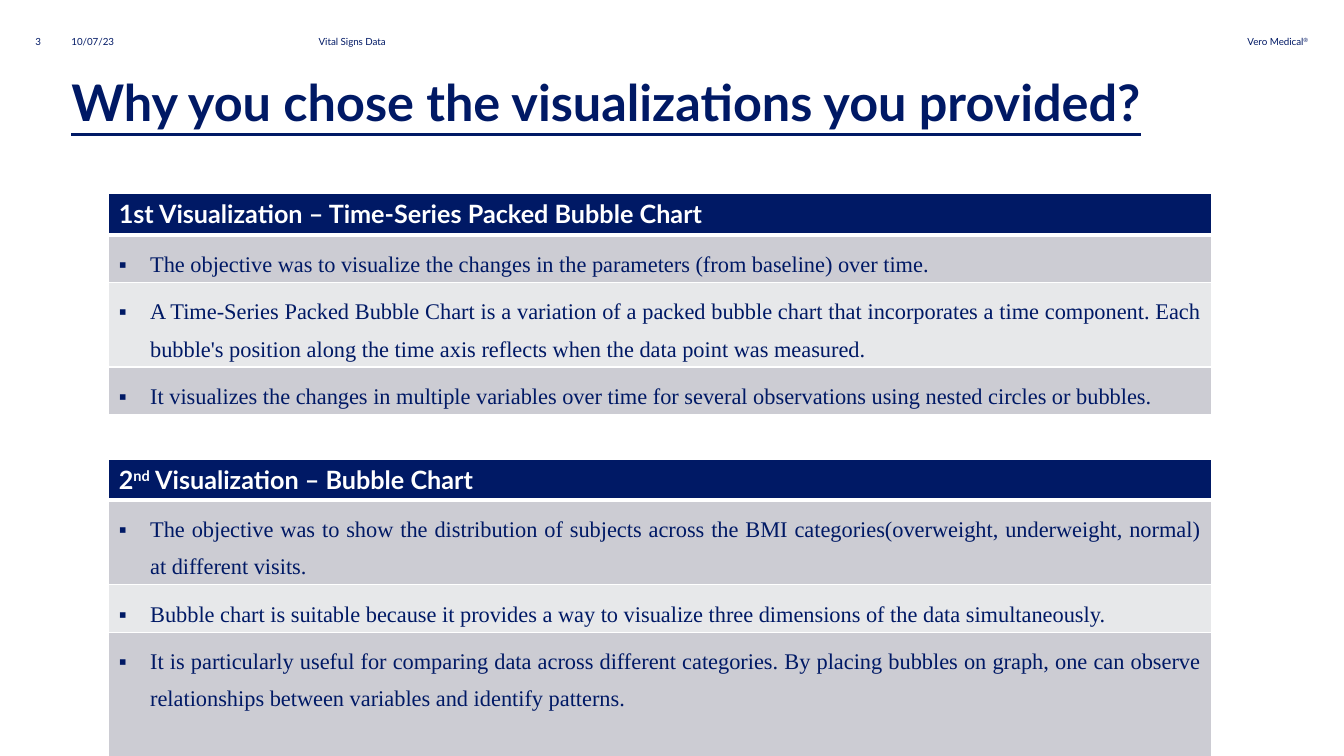
import dataclasses

import pptx
import pptx.dml.color
import pptx.enum.text
import pptx.oxml
import pptx.oxml.ns
import pptx.util
from pptx.util import Cm

ALIGN = pptx.enum.text.PP_ALIGN
ANCHOR = pptx.enum.text.MSO_ANCHOR


@dataclasses.dataclass(frozen=True)
class Theme:
    navy: str = "001965"
    white: str = "FFFFFF"
    bands: tuple[str, str] = ("CCCCD3", "E7E8EA")
    heading_font: str = "Lato"
    body_font: str = "Times New Roman"
    small_size: float = 7
    body_size: float = 16
    header_size: float = 18
    title_size: float = 36
    border: float = 1
    header_border: float = 3


@dataclasses.dataclass(frozen=True)
class Label:
    left: float
    width: float
    text: str
    mark: str = ""
    align: ALIGN = ALIGN.LEFT


@dataclasses.dataclass(frozen=True)
class Panel:
    top: float
    heading: tuple[str, ...]
    points: tuple[str, ...]
    heights: tuple[float, ...]


THEME = Theme()
PANEL_LEFT, PANEL_WIDTH = 2.74, 27.79
LABEL_TOP, LABEL_HEIGHT = 0.89, 0.36

LABELS = (
    Label(31.17, 1.8, "Vero Medical", "®", ALIGN.RIGHT),
    Label(1.8, 5.33, "10/07/23"),
    Label(8.03, 11.56, "Vital Signs Data"),
    Label(0.89, 0.89, "3"),
)

PANELS = (
    Panel(
        11.58,
        ("2", "nd", " Visualization – Bubble Chart"),
        (
            "The objective was to show the distribution of subjects across the BMI "
            "categories(overweight, underweight, normal) at different visits.",
            "Bubble chart is suitable because it provides a way to visualize three "
            "dimensions of the data simultaneously.",
            "It is particularly useful for comparing data across different categories. "
            "By placing bubbles on graph, one can observe relationships between "
            "variables and identify patterns.",
        ),
        (1.02, 2.13, 1.19, 3.13),
    ),
    Panel(
        4.88,
        ("1st Visualization – Time-Series Packed Bubble Chart",),
        (
            "The objective was to visualize the changes in the parameters (from baseline) over time.",
            "A Time-Series Packed Bubble Chart is a variation of a packed bubble chart that "
            "incorporates a time component. Each bubble's position along the time axis "
            "reflects when the data point was measured.",
            "It visualizes the changes in multiple variables over time for several "
            "observations using nested circles or bubbles.",
        ),
        (1.04, 1.19, 2.13, 1.19),
    ),
)


def rgb(value: str) -> pptx.dml.color.RGBColor:
    return pptx.dml.color.RGBColor.from_string(value)


def write(para, text: str, *, size: float, font: str = THEME.heading_font,
          color: str = THEME.navy, bold: bool = False, underline: bool = False,
          raised: bool = False) -> None:
    span = para.add_run()
    span.text = text
    span.font.size = pptx.util.Pt(size)
    span.font.name = font
    span.font.color.rgb = rgb(color)
    span.font.bold = bold
    span.font.underline = underline
    if raised:
        span._r.get_or_add_rPr().set("baseline", "30000")


def set_frame(frame) -> None:
    frame.margin_left = frame.margin_right = frame.margin_top = frame.margin_bottom = 0
    frame.word_wrap = True
    frame.auto_size = pptx.enum.text.MSO_AUTO_SIZE.NONE
    frame.vertical_anchor = ANCHOR.TOP


def draw_title(page, text: str) -> None:
    title = page.shapes.title
    title.left, title.top, title.width, title.height = Cm(1.8), Cm(1.8), Cm(30.28), Cm(3.61)
    set_frame(title.text_frame)
    para = title.text_frame.paragraphs[0]
    para.alignment = ALIGN.LEFT
    write(para, text, size=THEME.title_size, bold=True, underline=True)


def draw_label(page, label: Label) -> None:
    box = page.shapes.add_textbox(Cm(label.left), Cm(LABEL_TOP), Cm(label.width), Cm(LABEL_HEIGHT))
    set_frame(box.text_frame)
    para = box.text_frame.paragraphs[0]
    para.alignment = label.align
    write(para, label.text, size=THEME.small_size)
    if label.mark:
        write(para, label.mark, size=THEME.small_size, raised=True)


def style_cell(cell, fill: str, top: float, bottom: float) -> None:
    cell.fill.solid()
    cell.fill.fore_color.rgb = rgb(fill)
    properties = cell._tc.get_or_add_tcPr()
    widths = {"lnL": THEME.border, "lnR": THEME.border, "lnT": top, "lnB": bottom}
    for index, (side, width) in enumerate(widths.items()):
        line = pptx.oxml.parse_xml(
            f'<a:{side} {pptx.oxml.ns.nsdecls("a")} w="{pptx.util.Pt(width)}">'
            f'<a:solidFill><a:srgbClr val="{THEME.white}"/></a:solidFill></a:{side}>'
        )
        properties.insert(index, line)


def add_bullet(para) -> None:
    properties = para._p.get_or_add_pPr()
    properties.set("marL", str(Cm(0.79)))
    properties.set("indent", str(-Cm(0.79)))
    for tag, name, value in (("buFont", "typeface", "Arial"), ("buChar", "char", "▪")):
        properties.append(pptx.oxml.parse_xml(
            f'<a:{tag} {pptx.oxml.ns.nsdecls("a")} {name}="{value}"/>'))


def draw_panel(page, panel: Panel) -> None:
    table = page.shapes.add_table(
        len(panel.heights), 1, Cm(PANEL_LEFT), Cm(panel.top),
        Cm(PANEL_WIDTH), Cm(sum(panel.heights))).table
    for row, height in zip(table.rows, panel.heights):
        row.height = Cm(height)
    header = table.cell(0, 0)
    style_cell(header, THEME.navy, THEME.border, THEME.header_border)
    for index, text in enumerate(panel.heading):
        write(header.text_frame.paragraphs[0], text, size=THEME.header_size,
              color=THEME.white, bold=True, raised=index == 1)
    for index, text in enumerate(panel.points):
        cell = table.cell(index + 1, 0)
        top = THEME.border if index else THEME.header_border
        style_cell(cell, THEME.bands[index % 2], top, THEME.border)
        para = cell.text_frame.paragraphs[0]
        add_bullet(para)
        para.alignment = ALIGN.JUSTIFY
        para.line_spacing = 1.5
        write(para, text, size=THEME.body_size, font=THEME.body_font)


def main() -> None:
    deck = pptx.Presentation()
    deck.slide_width, deck.slide_height = Cm(33.87), Cm(19.05)
    page = deck.slides.add_slide(deck.slide_layouts.get_by_name("Title Only"))
    draw_title(page, "Why you chose the visualizations you provided?")
    for label in LABELS:
        draw_label(page, label)
    for panel in PANELS:
        draw_panel(page, panel)
    deck.save("out.pptx")


if __name__ == "__main__":
    main()
